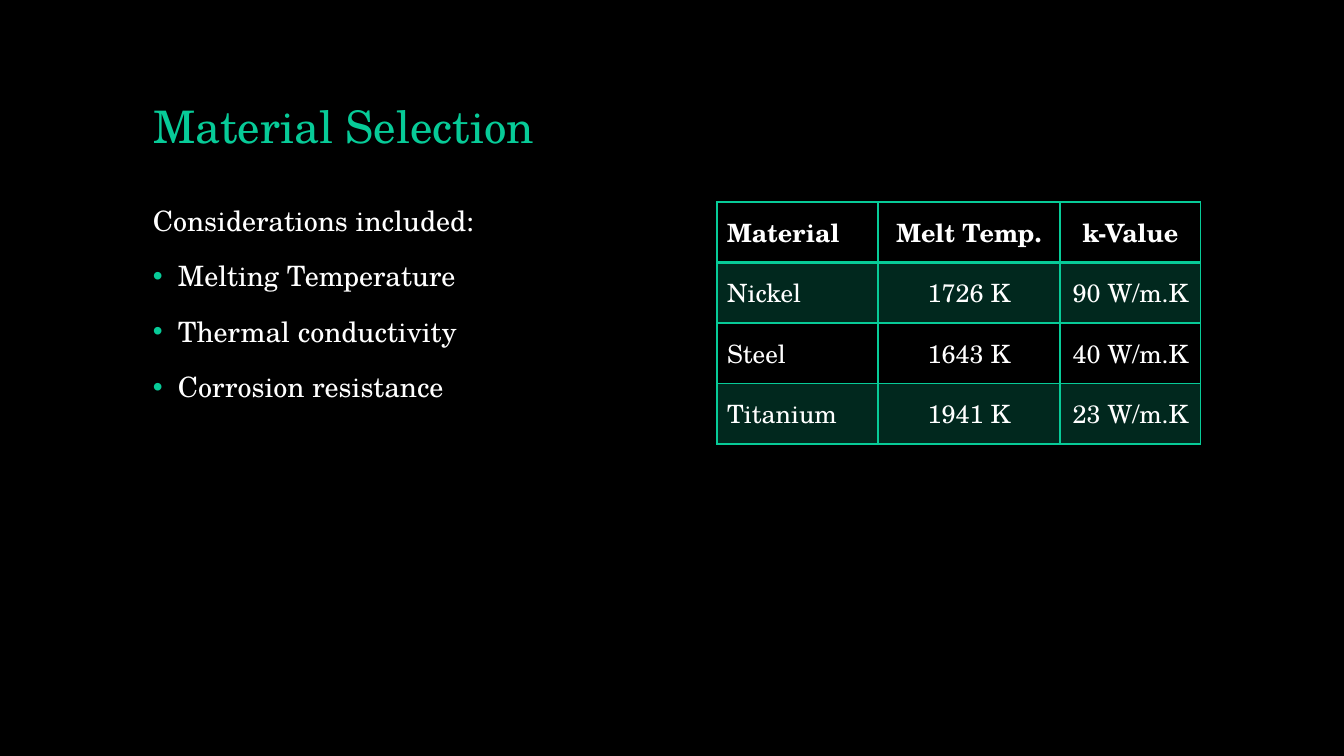
import lxml.etree
import pptx
import pptx.dml.color
import pptx.enum.text
import pptx.oxml
import pptx.oxml.ns
import pptx.util

EMU_PER_PX = 914400 / 100.8
FONT = "TeX Gyre Schola"
COLORS = {"background": "000000", "accent": "07CB98", "text": "FFFFFF"}

CONSIDERATIONS = ["Melting Temperature", "Thermal conductivity", "Corrosion resistance"]
MATERIALS = [
    ["Material", "Melt Temp.", "k-Value"],
    ["Nickel", "1726 K", "90 W/m.K"],
    ["Steel", "1643 K", "40 W/m.K"],
    ["Titanium", "1941 K", "23 W/m.K"],
]
COLUMN_WIDTHS = [161, 182, 141]


def px(length):
    return pptx.util.Emu(round(length * EMU_PER_PX))


def rgb(name):
    return pptx.dml.color.RGBColor.from_string(COLORS[name])


def add_run(paragraph, text, size, color="text", bold=False):
    run = paragraph.add_run()
    run.text = text
    run.font.name = FONT
    run.font.size = pptx.util.Pt(size)
    run.font.bold = bold
    run.font.color.rgb = rgb(color)


def add_bullet(paragraph):
    """Give the paragraph a hanging accent-coloured bullet."""
    properties = paragraph._p.get_or_add_pPr()
    properties.set("marL", str(px(25)))
    properties.set("indent", str(-px(25)))
    color = lxml.etree.SubElement(properties, pptx.oxml.ns.qn("a:buClr"))
    lxml.etree.SubElement(color, pptx.oxml.ns.qn("a:srgbClr"), val=COLORS["accent"])
    lxml.etree.SubElement(properties, pptx.oxml.ns.qn("a:buFont"), typeface="Arial")
    lxml.etree.SubElement(properties, pptx.oxml.ns.qn("a:buChar"), char="•")


def add_cell_borders(cell, bottom_width):
    properties = cell._tc.get_or_add_tcPr()
    for side, width in (("L", 1), ("R", 1), ("T", 1), ("B", bottom_width)):
        properties.append(pptx.oxml.parse_xml(
            f'<a:ln{side} {pptx.oxml.ns.nsdecls("a")} w="{pptx.util.Pt(width)}">'
            f'<a:solidFill><a:srgbClr val="{COLORS["accent"]}"/></a:solidFill>'
            f'</a:ln{side}>'))


def fill_cell(cell, shaded):
    """Tint a shaded cell with the accent at 20 % opacity; leave others clear."""
    if not shaded:
        cell.fill.background()
        return
    cell.fill.solid()
    cell.fill.fore_color.rgb = rgb("accent")
    color = cell._tc.tcPr.find(".//" + pptx.oxml.ns.qn("a:solidFill")
                               + "[last()]/" + pptx.oxml.ns.qn("a:srgbClr"))
    for fill in cell._tc.tcPr.findall(pptx.oxml.ns.qn("a:solidFill")):
        color = fill.find(pptx.oxml.ns.qn("a:srgbClr"))
    lxml.etree.SubElement(color, pptx.oxml.ns.qn("a:alpha"), val="20000")


def place_title(slide, left, top, width, height):
    title = slide.shapes.title
    title.left, title.top, title.width, title.height = map(px, (left, top, width, height))
    frame = title.text_frame
    frame.vertical_anchor = pptx.enum.text.MSO_ANCHOR.BOTTOM
    frame.word_wrap = True
    paragraph = frame.paragraphs[0]
    paragraph.alignment = pptx.enum.text.PP_ALIGN.LEFT
    paragraph.line_spacing = 0.9
    add_run(paragraph, "Material Selection", 32, "accent")


def place_considerations(slide, left, top, width, height):
    box = slide.shapes.add_textbox(*map(px, (left, top, width, height)))
    frame = box.text_frame
    frame.word_wrap = True
    for index, text in enumerate(["Considerations included:"] + CONSIDERATIONS):
        paragraph = frame.add_paragraph() if index else frame.paragraphs[0]
        paragraph.line_spacing = 0.9
        paragraph.space_before = pptx.util.Pt(18)
        if index:
            add_bullet(paragraph)
        add_run(paragraph, text, 20)


def place_materials(slide, left, top, height):
    frame = slide.shapes.add_table(
        len(MATERIALS), len(COLUMN_WIDTHS),
        *map(px, (left, top, sum(COLUMN_WIDTHS), height)))
    table = frame.table
    table.first_row = table.horz_banding = False
    for column, width in zip(table.columns, COLUMN_WIDTHS):
        column.width = px(width)
    for row_index, values in enumerate(MATERIALS):
        table.rows[row_index].height = px(height / len(MATERIALS))
        header = row_index == 0
        for column_index, value in enumerate(values):
            cell = table.cell(row_index, column_index)
            cell.vertical_anchor = pptx.enum.text.MSO_ANCHOR.MIDDLE
            add_cell_borders(cell, 2 if header else 1)
            fill_cell(cell, row_index % 2 == 1)
            paragraph = cell.text_frame.paragraphs[0]
            if column_index:
                paragraph.alignment = pptx.enum.text.PP_ALIGN.CENTER
            add_run(paragraph, value, 18, bold=header)


def build_material_slide(presentation):
    slide = presentation.slides.add_slide(presentation.slide_layouts[5])
    slide.background.fill.solid()
    slide.background.fill.fore_color.rgb = rgb("background")
    place_title(slide, 143, 40, 1058, 118)
    place_considerations(slide, 143, 202, 504, 480)
    place_materials(slide, 717, 202, 242)


def main():
    presentation = pptx.Presentation()
    presentation.slide_width = px(1344)
    presentation.slide_height = px(756)
    build_material_slide(presentation)
    presentation.save("out.pptx")


if __name__ == "__main__":
    main()
